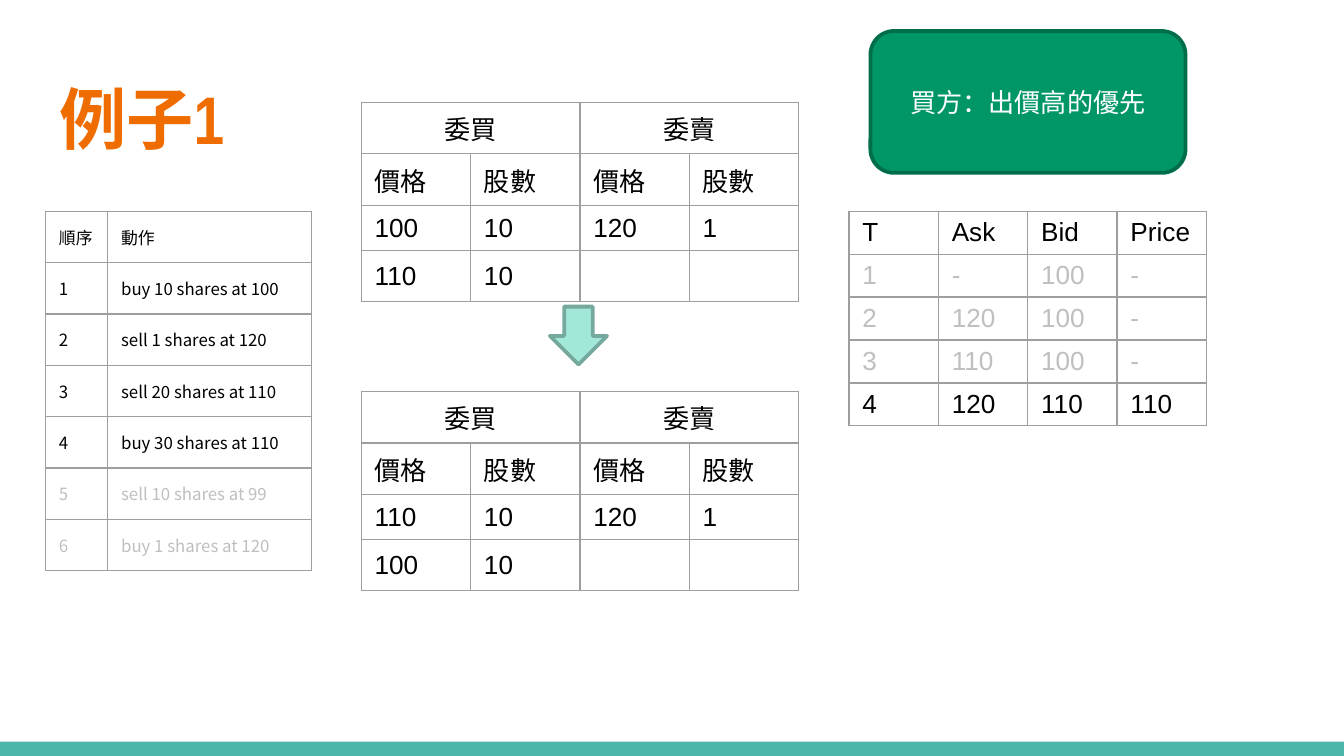
import dataclasses
import typing

import lxml.etree
import pptx
import pptx.dml.color
import pptx.enum.shapes
import pptx.enum.text
import pptx.oxml.ns
import pptx.util

Pt = pptx.util.Pt
qn = pptx.oxml.ns.qn
Shapes = pptx.enum.shapes.MSO_SHAPE
Anchor = pptx.enum.text.MSO_ANCHOR
Align = pptx.enum.text.PP_ALIGN


@dataclasses.dataclass(frozen=True)
class Theme:
    teal: str = "4DB6AC"
    orange: str = "EF6C00"
    black: str = "000000"
    white: str = "FFFFFF"
    muted: str = "BFBFBF"
    grid: str = "9E9E9E"
    mint: str = "A1E8D9"
    mint_line: str = "75A99E"
    green: str = "009668"
    green_line: str = "006D4B"
    sans: str = "Arial"
    narrow: str = "Arial Narrow"
    cjk: str = "Noto Sans CJK TC"
    title_size: float = 36
    body_size: float = 14
    small_size: float = 9
    grid_width: float = 0.75
    outline_width: float = 2


THEME = Theme()


@dataclasses.dataclass(frozen=True)
class Box:
    left: float
    top: float
    width: float
    height: float

    def lengths(self) -> list:
        return [Pt(v) for v in dataclasses.astuple(self)]


@dataclasses.dataclass(frozen=True)
class Grid:
    left: float
    top: float
    cols: list
    heights: list
    rows: list
    font: str = THEME.sans
    size: float = THEME.body_size
    pad: float = 3.6
    anchor: typing.Any = Anchor.MIDDLE
    muted_rows: tuple = ()
    merges: tuple = ()


def rgb(color: str) -> pptx.dml.color.RGBColor:
    return pptx.dml.color.RGBColor.from_string(color)


def write(tf, text: str, font: str, size: float, color: str, align=Align.LEFT, bold=False) -> None:
    p = tf.paragraphs[0]
    p.alignment = align
    if not text:
        lxml.etree.SubElement(p._p, qn("a:endParaRPr"), sz=str(int(size * 100)))
        return
    r = p.add_run()
    r.text = text
    for name, value in {"name": font, "size": Pt(size), "bold": bold}.items():
        setattr(r.font, name, value)
    r.font.color.rgb = rgb(color)
    lxml.etree.SubElement(r._r.get_or_add_rPr(), qn("a:ea"), typeface=THEME.cjk)


def set_format(target, values: dict) -> None:
    for name, value in values.items():
        setattr(target, name, value)


def add_borders(cell) -> None:
    tc_pr = cell._tc.get_or_add_tcPr()
    for side in ("lnL", "lnR", "lnT", "lnB"):
        ln = lxml.etree.SubElement(tc_pr, qn(f"a:{side}"), w=str(int(Pt(THEME.grid_width))))
        fill = lxml.etree.SubElement(ln, qn("a:solidFill"))
        lxml.etree.SubElement(fill, qn("a:srgbClr"), val=THEME.grid)


def add_grid(s, grid: Grid) -> None:
    box = Box(grid.left, grid.top, sum(grid.cols), sum(grid.heights))
    table = s.shapes.add_table(len(grid.heights), len(grid.cols), *box.lengths()).table
    set_format(table, {"first_row": False, "horz_banding": False})
    for col, width in zip(table.columns, grid.cols):
        col.width = Pt(width)
    for row, height in zip(table.rows, grid.heights):
        row.height = Pt(height)
    for i, j, last in grid.merges:
        table.cell(i, j).merge(table.cell(i, last))
    for i, texts in enumerate(grid.rows):
        color = THEME.muted if i in grid.muted_rows else THEME.black
        for j, text in enumerate(texts):
            cell = table.cell(i, j)
            set_format(cell, {
                "margin_left": Pt(7.2), "margin_right": Pt(7.2),
                "margin_top": Pt(grid.pad), "margin_bottom": Pt(grid.pad),
                "vertical_anchor": grid.anchor,
            })
            add_borders(cell)
            cell.fill.background()
            align = Align.CENTER if cell.is_merge_origin else Align.LEFT
            write(cell.text_frame, text, grid.font, grid.size, color, align)


def add_block(s, kind, box: Box, fill: str, line: typing.Optional[str] = None):
    sp = s.shapes.add_shape(kind, *box.lengths())
    sp.shadow.inherit = False
    sp.fill.solid()
    sp.fill.fore_color.rgb = rgb(fill)
    if line:
        sp.line.color.rgb = rgb(line)
        sp.line.width = Pt(THEME.outline_width)
    else:
        sp.line.fill.background()
    return sp


def order_book(top: float, bids: list, asks: list) -> Grid:
    rows = [["委買", "", "委賣", ""], ["價格", "股數"] * 2]
    rows += [bid + ask for bid, ask in zip(bids, asks)]
    return Grid(193.5, top, [58.6] * 4, [27.5, 27.7, 24, 27.5], rows,
                merges=((0, 0, 1), (0, 2, 3)))


def main() -> None:
    prs = pptx.Presentation()
    prs.slide_width, prs.slide_height = Pt(720), Pt(405)
    s = prs.slides.add_slide(prs.slide_layouts[5])

    add_block(s, Shapes.RECTANGLE, Box(0, 397.4, 720, 7.6), THEME.teal)

    title = s.shapes.title
    names = ("left", "top", "width", "height")
    set_format(title, dict(zip(names, Box(24.5, 35.2, 671, 55.5).lengths())))
    tf = title.text_frame
    set_format(tf, {f"margin_{side}": Pt(7.2) for side in ("left", "top", "right", "bottom")})
    set_format(tf, {"vertical_anchor": Anchor.MIDDLE, "word_wrap": True,
                    "auto_size": pptx.enum.text.MSO_AUTO_SIZE.NONE})
    write(tf, "例子1", THEME.narrow, THEME.title_size, THEME.orange, bold=True)

    actions = ["buy 10 shares at 100", "sell 1 shares at 120", "sell 20 shares at 110",
               "buy 30 shares at 110", "sell 10 shares at 99", "buy 1 shares at 120"]
    steps = [["順序", "動作"]] + [[str(n), action] for n, action in enumerate(actions, 1)]
    asks = [["120", "1"], ["", ""]]
    prices = [["T", "Ask", "Bid", "Price"], ["1", "-", "100", "-"], ["2", "120", "100", "-"],
              ["3", "110", "100", "-"], ["4", "120", "110", "110"]]

    add_grid(s, Grid(24.4, 113.2, [33.3, 109.2], [27.4] * 7, steps, THEME.cjk,
                     THEME.small_size, 7.2, muted_rows=(5, 6)))
    add_grid(s, order_book(54.8, [["100", "10"], ["110", "10"]], asks))
    add_grid(s, order_book(209.7, [["110", "10"], ["100", "10"]], asks))
    add_block(s, Shapes.DOWN_ARROW, Box(294.6, 164.3, 30.6, 31), THEME.mint, THEME.mint_line)
    add_grid(s, Grid(454.8, 113.2, [47.9] * 4, [23] * 5, prices,
                     anchor=Anchor.TOP, muted_rows=(1, 2, 3)))

    rule = add_block(s, Shapes.ROUNDED_RECTANGLE, Box(466.3, 16.6, 168.8, 76),
                     THEME.green, THEME.green_line)
    set_format(rule.text_frame, {"word_wrap": True, "vertical_anchor": Anchor.MIDDLE})
    write(rule.text_frame, "買方：出價高的優先", THEME.cjk, THEME.body_size,
          THEME.white, Align.CENTER)

    prs.save("out.pptx")


if __name__ == "__main__":
    main()
